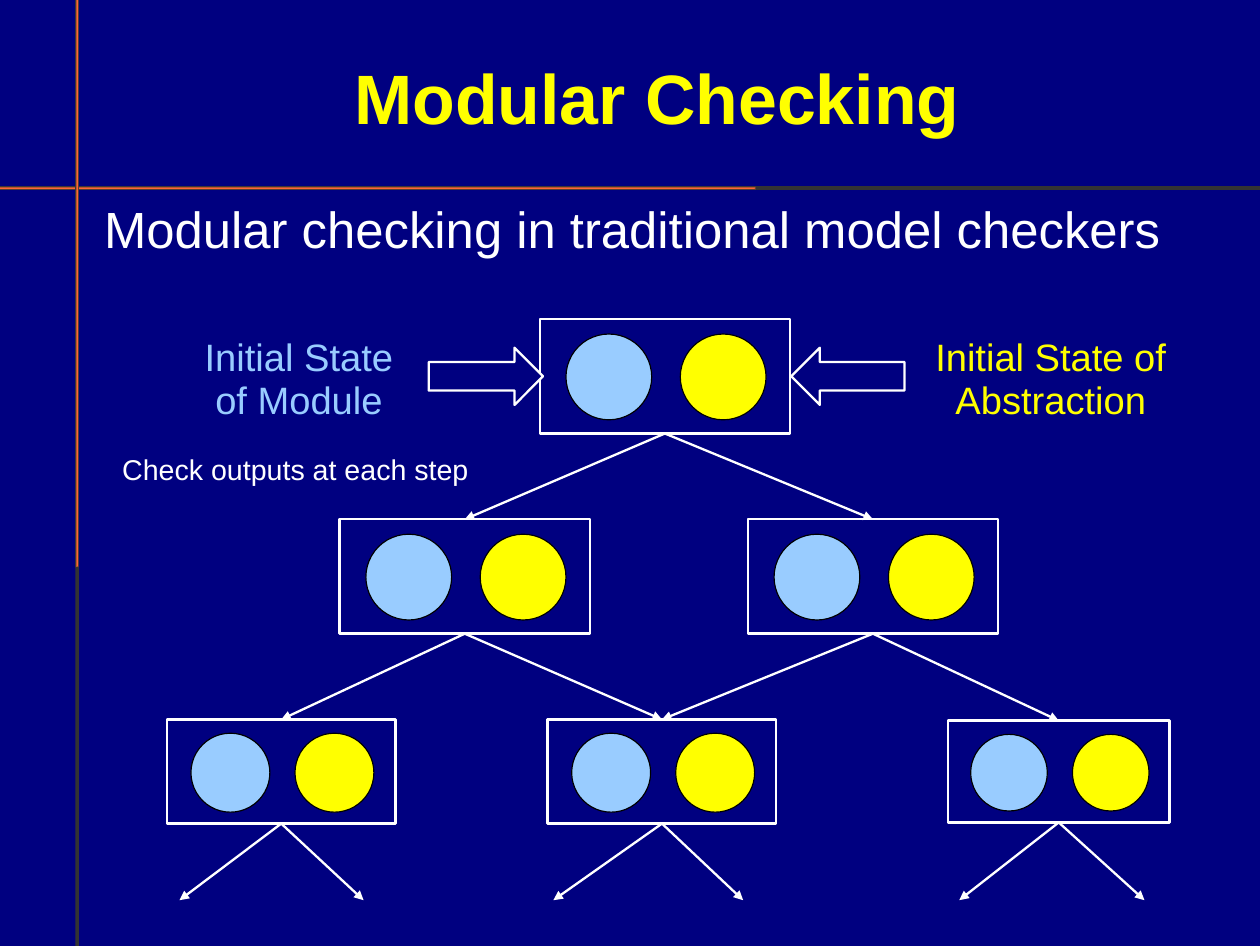
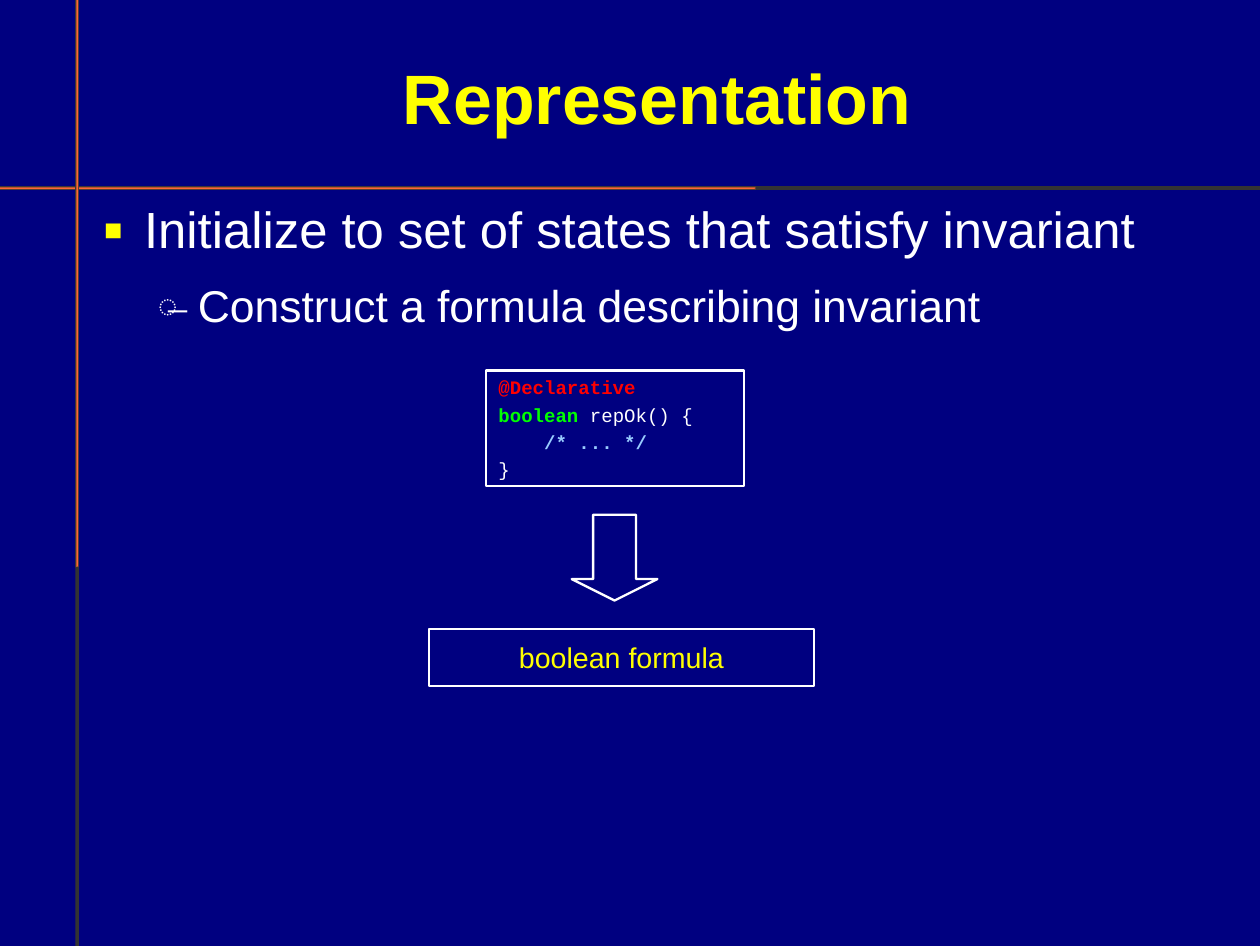
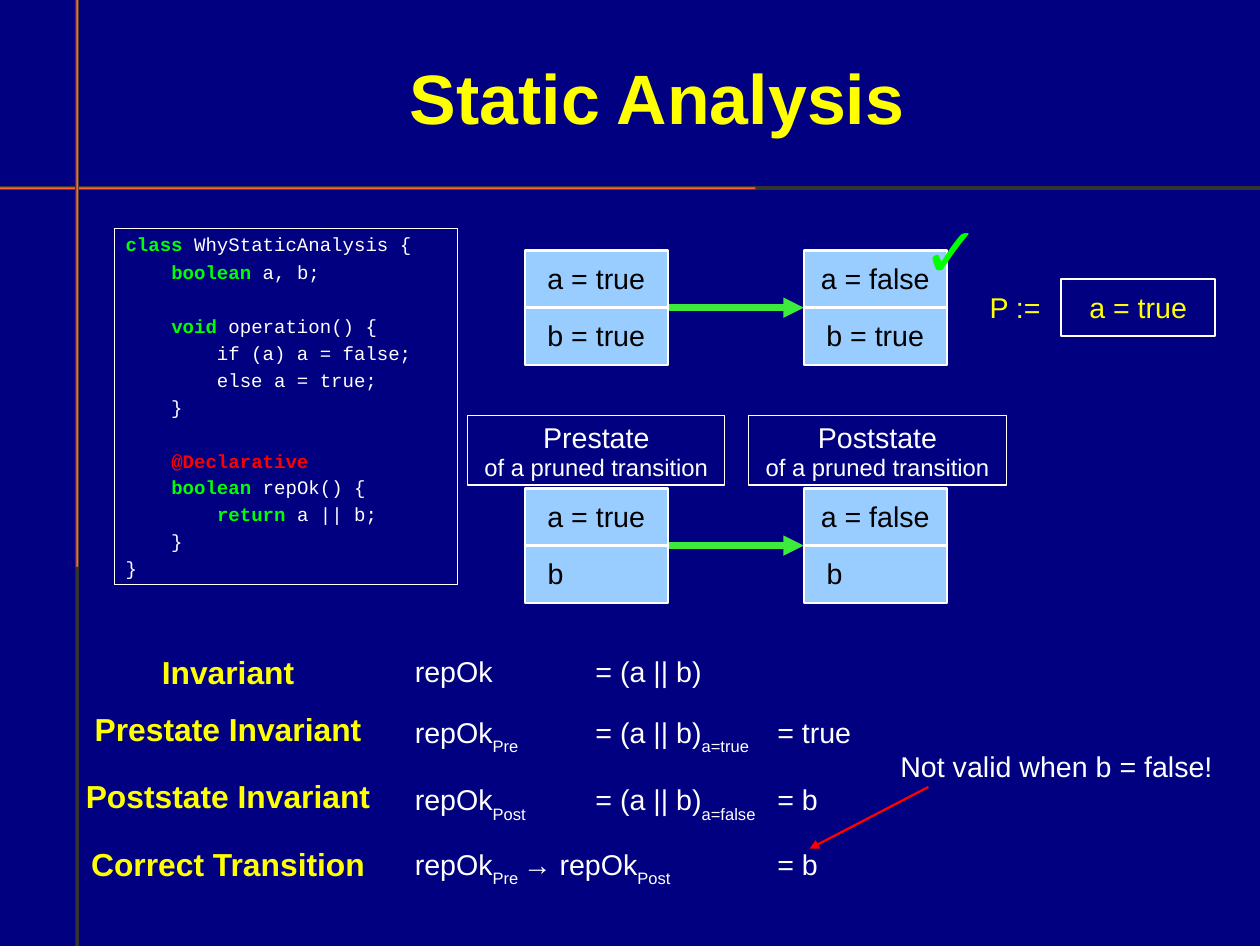
"""Builds three slides on modular checking and static analysis."""
from lxml import etree
from pptx import Presentation
from pptx import util as u
from pptx.dml.color import RGBColor
from pptx.enum import shapes as s, text as t
from pptx.oxml.ns import qn

NAVY = RGBColor(0x00, 0x00, 0x80)
WHITE = RGBColor(0xFF, 0xFF, 0xFF)
BLACK = RGBColor(0x00, 0x00, 0x00)
YELLOW = RGBColor(0xFF, 0xFF, 0x00)
SKY = RGBColor(0x99, 0xCC, 0xFF)
RED = RGBColor(0xFF, 0x00, 0x00)
LIME = RGBColor(0x00, 0xFF, 0x00)
GREEN = RGBColor(0x3D, 0xEB, 0x3D)
ORANGE = RGBColor(0xFF, 0x66, 0x33)
GREY = RGBColor(0x33, 0x33, 0x33)

WIDE, HIGH = 1102, 827
THIN, LINE = 0.75, 1.45
KIND = s.MSO_SHAPE
LEFT, MID, RIGHT = t.PP_ALIGN.LEFT, t.PP_ALIGN.CENTER, t.PP_ALIGN.RIGHT
TOP, HALF = t.MSO_ANCHOR.TOP, t.MSO_ANCHOR.MIDDLE
PAD, INSET = (10, 7, 10, 5), (11, 8, 11, 6)
HUES = {"class": LIME, "void": LIME, "boolean": LIME, "return": LIME,
        "@Declarative": RED, "/* ... */": SKY}

BRIEF = """@Declarative
boolean repOk() {
    /* ... */
}"""

SAMPLE = """class WhyStaticAnalysis {
    boolean a, b;

    void operation() {
        if (a) a = false;
        else a = true;
    }

    @Declarative
    boolean repOk() {
        return a || b;
    }
}"""


def px(*spans):
    """Turn px, a hundred to the inch, into EMU."""
    return [u.Emu(span * 9144) for span in spans]


def child(node, tag, **attrs):
    """Append an XML element and return it."""
    return etree.SubElement(node, qn(tag), attrs)


def say(para, words, size=18, hue=WHITE, bold=False, font="Arial", sub=False):
    """Add one formatted run of text."""
    run = para.add_run()
    run.text = words
    run.font.size, run.font.bold, run.font.name = u.Pt(size), bold, font
    run.font.color.rgb = hue
    if sub:
        run.font._element.set("baseline", "-33000")


def frame(box, pad=PAD, anchor=TOP):
    """Set the insets and the anchor of a text frame."""
    area = box.text_frame
    area.word_wrap, area.auto_size = True, t.MSO_AUTO_SIZE.NONE
    area.vertical_anchor = anchor
    (area.margin_left, area.margin_top,
     area.margin_right, area.margin_bottom) = px(*pad)
    return area


def lines(area, count):
    """Yield the given number of paragraphs of a text frame."""
    for index in range(count):
        yield area.add_paragraph() if index else area.paragraphs[0]


def write(box, words, pad=PAD, anchor=TOP, align=LEFT, lead=0.93, tabs=(),
          sizes=(), **look):
    """Fill a box with text; underscores enclose subscripts."""
    rows = words.split("\n")
    for index, para in enumerate(lines(frame(box, pad, anchor), len(rows))):
        if tabs:
            stops = child(para._p.get_or_add_pPr(), "a:tabLst")
            for stop in px(*tabs):
                child(stops, "a:tab", pos=str(stop), algn="l")
        para.alignment, para.line_spacing = align, lead
        if sizes:
            look["size"] = sizes[index]
        for turn, part in enumerate(rows[index].split("_")):
            if part:
                say(para, part, sub=turn % 2 == 1, **look)


def label(slide, place, words, **look):
    """Add a text box."""
    write(slide.shapes.add_textbox(*px(*place)), words, **look)


def shape(slide, kind, place, fill=None, edge=WHITE, width=LINE):
    """Add a preset shape with plain fill and outline."""
    item = slide.shapes.add_shape(kind, *px(*place))
    item.shadow.inherit = False
    if fill is None:
        item.fill.background()
    else:
        item.fill.solid()
        item.fill.fore_color.rgb = fill
    if edge is None:
        item.line.fill.background()
    else:
        item.line.color.rgb, item.line.width = edge, u.Pt(width)
    return item


def block(slide, place, words, fill=None, hue=YELLOW, align=MID, pad=INSET):
    """Add a rectangle with one line of text."""
    box = shape(slide, KIND.RECTANGLE, place, fill)
    write(box, words, pad=pad, anchor=HALF, align=align, hue=hue)


def code(slide, place, words, width, pad):
    """Add a framed listing with coloured keywords."""
    rows = words.split("\n")
    area = frame(shape(slide, KIND.RECTANGLE, place, width=width), pad)
    full = [(row, index and not rows[index - 1])
            for index, row in enumerate(rows) if row]
    for index, para in enumerate(lines(area, len(full))):
        row, gap = full[index]
        para.alignment = LEFT
        para.line_spacing = 1.18 if index else 0.94
        if gap:
            para.space_before = u.Pt(17)
        key = next((word for word in HUES if word in row), None)
        parts = row.partition(key) if key else [row]
        for part in filter(None, parts):
            say(para, part, size=12, font="Courier New",
                hue=HUES.get(part, WHITE), bold=part in HUES)


def link(slide, start, end, hue=WHITE, width=LINE):
    """Draw an arrow between points or (shape, side) pairs."""
    line = slide.shapes.add_connector(s.MSO_CONNECTOR.STRAIGHT, 0, 0, 0, 0)
    if isinstance(start[0], int):
        line.begin_x, line.begin_y = px(*start)
    else:
        line.begin_connect(*start)
    if isinstance(end[0], int):
        line.end_x, line.end_y = px(*end)
    else:
        line.end_connect(*end)
    line.line.color.rgb, line.line.width = hue, u.Pt(width)
    props = line.element.spPr
    child(props.find(qn("a:ln")), "a:tailEnd", type="triangle")
    child(props, "a:effectLst")


def node(slide, left, top, width):
    """Draw a state pair, scaled by its width, and return its frame."""
    box = shape(slide, KIND.RECTANGLE,
                (left, top, width, round(width * 0.457)), NAVY)
    size = round(width * 0.343)
    for ratio, hue in ((0.105, SKY), (0.562, YELLOW)):
        shape(slide, KIND.OVAL, (left + round(width * ratio),
              top + round(width * 0.06), size, size), hue, BLACK, THIN)
    return box


def band(slide, place, focus):
    """Add a two-colour rule to the slide master."""
    item = shape(slide, KIND.RECTANGLE, place, edge=None)
    grad = etree.Element(qn("a:gradFill"), rotWithShape="1")
    stops = child(grad, "a:gsLst")
    for spot, hue in (("0", ORANGE), ("100000", GREY)):
        child(child(stops, "a:gs", pos=spot), "a:srgbClr", val=str(hue))
    sides = {side: str(part * 1000) for side, part in zip("ltrb", focus)}
    child(child(grad, "a:path", path="shape"), "a:fillToRect", **sides)
    props = item.element.spPr
    props.replace(props.find(qn("a:noFill")), grad)
    tree = slide.slide_layout.slide_master.element.cSld.spTree
    tree.insert(2, item.element)


def start(deck, layout, words):
    """Add a slide with its title."""
    slide = deck.slides.add_slide(deck.slide_layouts[layout])
    title = slide.shapes.title
    title.left, title.top, title.width, title.height = px(79, 22, 992, 128)
    write(title, words, pad=(0, 4, 0, 0), anchor=HALF, align=MID,
          size=44, hue=YELLOW, bold=True)
    return slide


def body(slide, height, rows):
    """Fill the body placeholder with (level, text, size, after, bullet)."""
    hold = slide.placeholders[1]
    hold.left, hold.top, hold.width, hold.height = px(79, 175, 992, height)
    area = frame(hold, (0, 3, 0, 0))
    for para, row in zip(lines(area, len(rows)), rows):
        level, words, size, after, mark = row
        props = para._p.get_or_add_pPr()
        left, hang = px(47 * (level + 1), -35)
        props.set("marL", str(left))
        props.set("indent", str(hang))
        if mark:
            char, hue, scale = mark
            child(child(props, "a:buClr"), "a:srgbClr", val=str(hue))
            child(props, "a:buSzPct", val=str(scale * 1000))
            child(props, "a:buChar", char=char)
        else:
            child(props, "a:buNone")
        para.level, para.alignment, para.line_spacing = level, LEFT, 0.93
        para.space_before, para.space_after = u.Pt(0), u.Pt(after)
        say(para, words, size=size)


def modular(deck):
    """Build the tree of paired states."""
    slide = start(deck, 1, "Modular Checking")
    body(slide, 546, [(0, "Modular checking in traditional model checkers",
                       32, 14.2, None)])
    root = node(slide, 472, 279, 219)
    west, east = [node(slide, left, 454, 219) for left in (297, 654)]
    leaves = [node(slide, *place) for place in
              ((146, 629, 200), (479, 629, 200), (829, 630, 194))]
    for above, below in ((root, (west, east)), (west, leaves[:2]),
                         (east, leaves[1:])):
        for box in below:
            link(slide, (above, 2), (box, 0))
    for leaf, ends in zip(leaves, ((157, 318), (484, 650), (839, 1001))):
        for end in ends:
            link(slide, (leaf, 2), (end, 787))
    label(slide, (153, 288, 217, 84), "Initial State of Module",
          size=24, hue=SKY, align=MID)
    label(slide, (797, 288, 244, 84), "Initial State of Abstraction",
          size=24, hue=YELLOW, align=MID)
    label(slide, (97, 391, 335, 38), "Check outputs at each step")
    shape(slide, KIND.RIGHT_ARROW, (375, 304, 100, 50), NAVY)
    shape(slide, KIND.LEFT_ARROW, (692, 304, 99, 50), NAVY)
    return slide


def formula(deck):
    """Build the step from code to formula."""
    slide = start(deck, 1, "Representation")
    body(slide, 625, [
        (0, "Initialize to set of states that satisfy invariant", 32, 14.2,
         ("■", YELLOW, 60)),
        (1, "Construct a formula describing invariant", 28, 11.4,
         ("̶", WHITE, 75))])
    block(slide, (375, 550, 337, 50), "boolean formula")
    code(slide, (425, 324, 226, 101), BRIEF, LINE, (11, 6, 11, 6))
    arrow = shape(slide, KIND.DOWN_ARROW, (500, 450, 75, 75), NAVY)
    arrow.adjustments[1] = 0.25


def static(deck):
    """Build the pruned transitions and their invariants."""
    slide = start(deck, 5, "Static Analysis")
    code(slide, (100, 200, 300, 311), SAMPLE, THIN, (10, 5, 10, 5))
    for top, last, align, pad in ((219, "b = true", MID, INSET),
                                  (427, "b", LEFT, (20, 8, 11, 6))):
        link(slide, (584, top + 50), (703, top + 50), GREEN, 4.31)
        for left, first in ((459, "a = true"), (703, "a = false")):
            block(slide, (left, top, 125, 50), first, SKY, BLACK)
            block(slide, (left, top + 50, 125, 50), last, SKY, BLACK,
                  align, pad)
    block(slide, (928, 244, 135, 50), "a = true")
    label(slide, (845, 249, 75, 38), "P :=", hue=YELLOW, align=RIGHT)
    label(slide, (797, 179, 75, 69), "✓", size=44, hue=LIME, font="Roboto",
          lead=0.81, pad=(10, 16, 10, 5))
    for left, name in ((409, "Prestate"), (655, "Poststate")):
        box = shape(slide, KIND.RECTANGLE, (left, 363, 225, 61), width=THIN)
        write(box, name + "\nof a pruned transition", align=MID,
              sizes=(18, 15))
    for top, name, low, words in (
            (567, "Invariant", 567, "repOk\t= (a || b)"),
            (616, "Prestate Invariant", 618,
             "repOk_Pre_\t= (a || b)_a=true_\t= true"),
            (675, "Poststate Invariant", 677,
             "repOk_Post_\t= (a || b)_a=false_\t= b"),
            (734, "Correct Transition", 733,
             "repOk_Pre _→ repOk_Post_\t= b")):
        label(slide, (57, top, 285, 41), name, size=20, hue=YELLOW,
              bold=True, align=MID)
        label(slide, (353, low, 444, 46), words, tabs=(158, 317))
    label(slide, (775, 650, 298, 38), "Not valid when b = false!", align=MID)
    link(slide, (812, 688), (708, 742), RED)


def main():
    """Build and save the deck."""
    deck = Presentation()
    deck.slide_width, deck.slide_height = px(WIDE, HIGH)
    back = deck.slide_master.background.fill
    back.solid()
    back.fore_color.rgb = NAVY
    slide = modular(deck)
    band(slide, (66, 0, 3, HIGH), (50, 10, 50, 90))
    band(slide, (0, 163, WIDE, 3), (10, 50, 90, 50))
    formula(deck)
    static(deck)
    deck.save("out.pptx")


if __name__ == "__main__":
    main()
